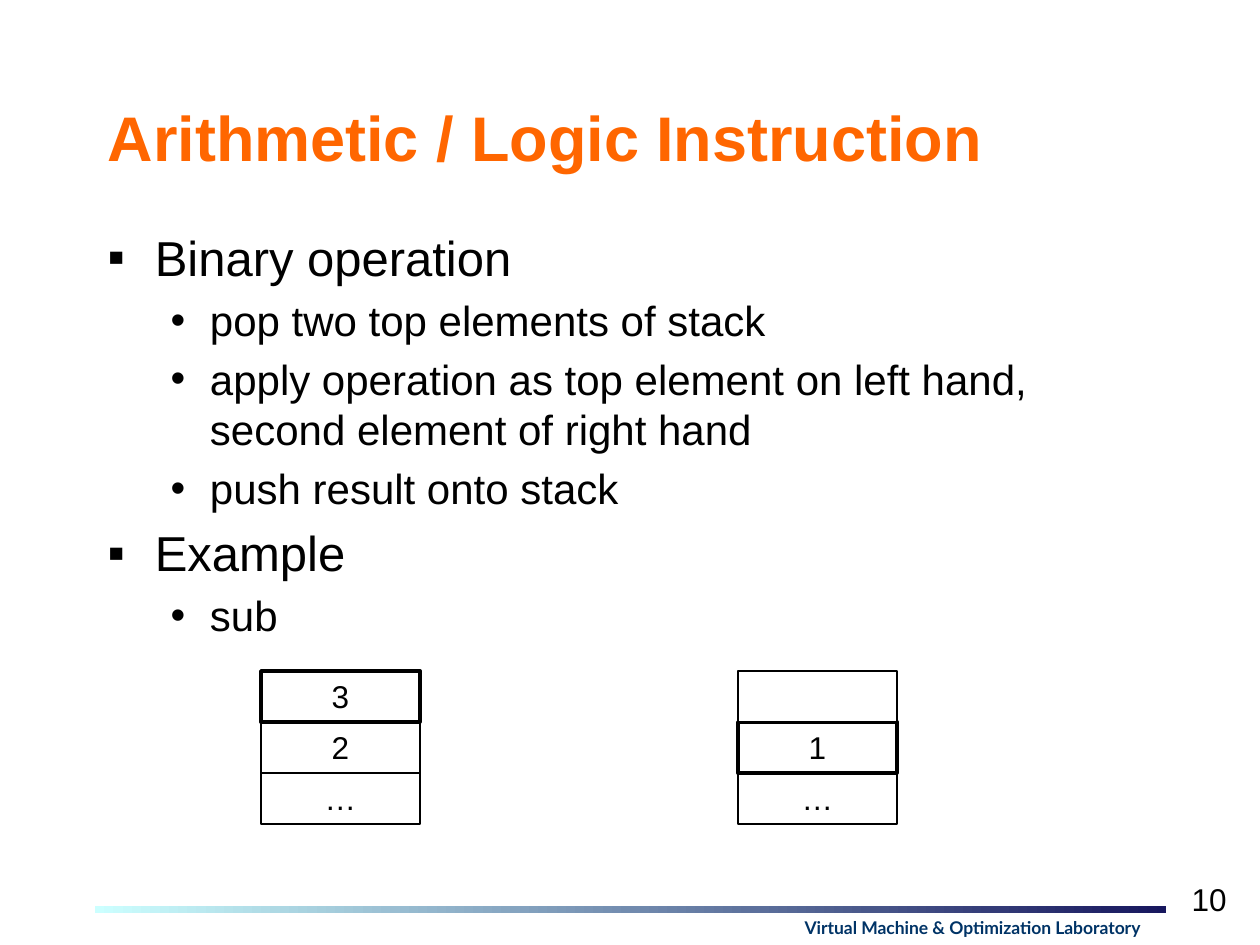
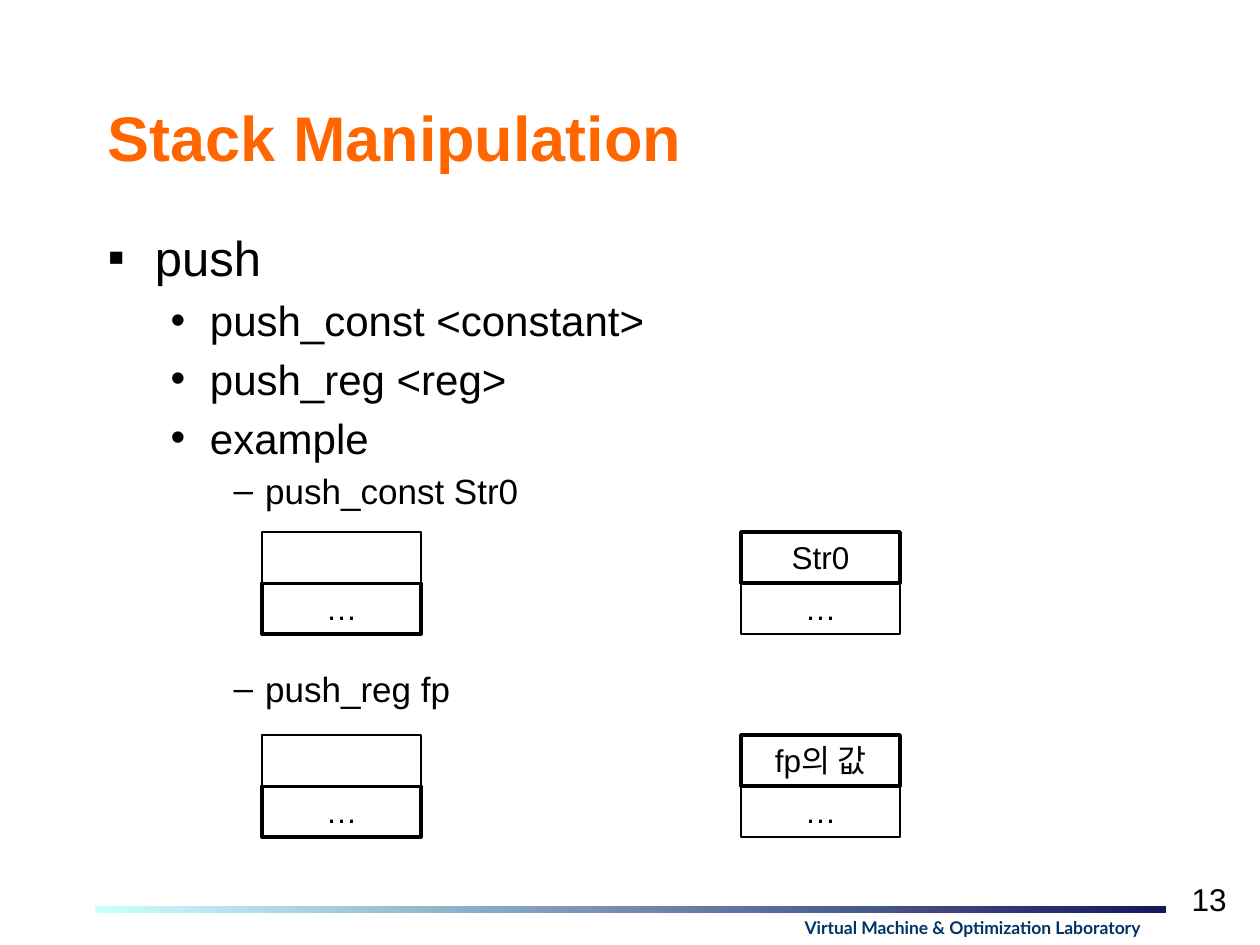
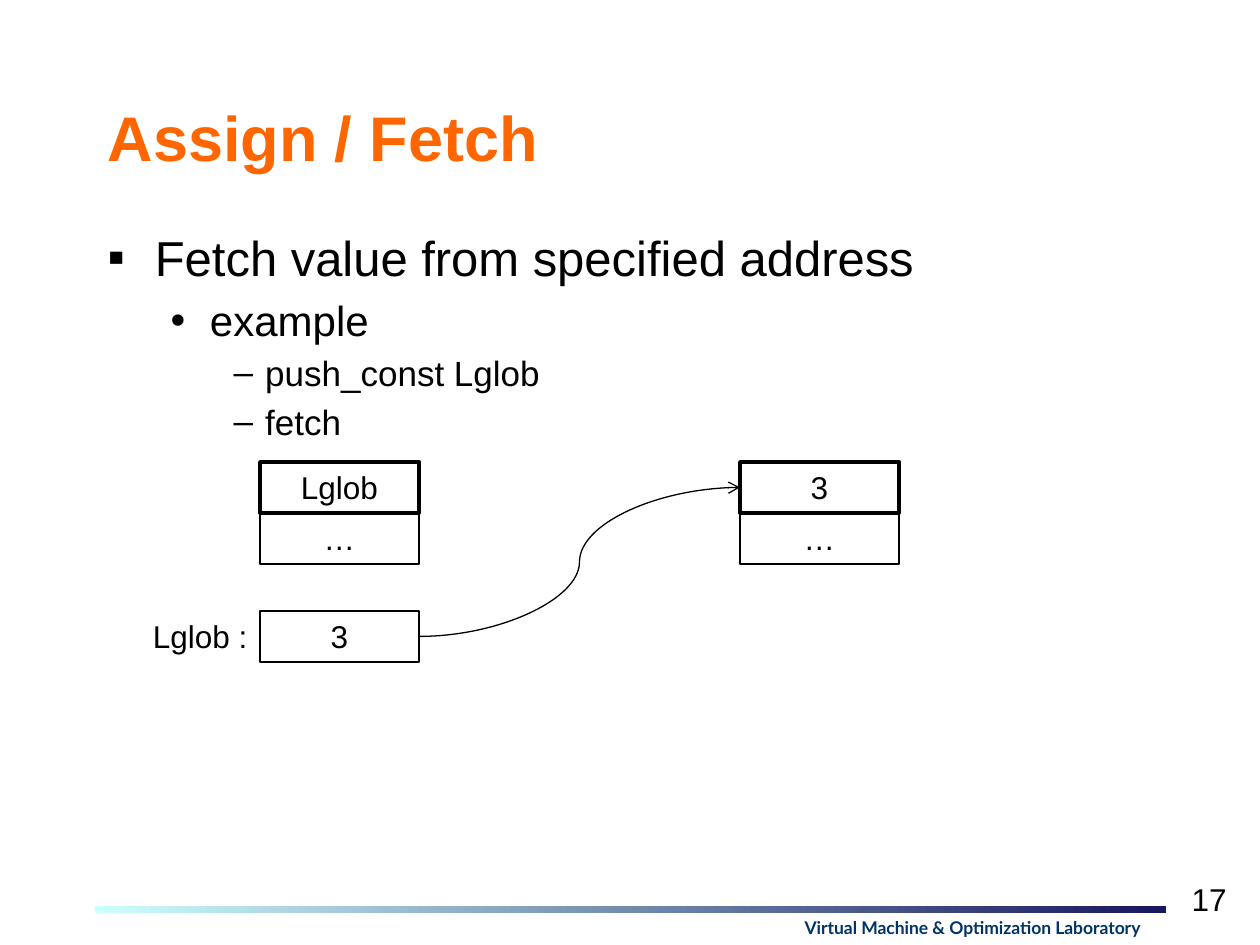
import pptx
import pptx.dml.color
import pptx.enum.shapes
import pptx.enum.text
import pptx.oxml
import pptx.oxml.ns
import pptx.util

RGBColor = pptx.dml.color.RGBColor
ALIGN = pptx.enum.text.PP_ALIGN
ANCHOR = pptx.enum.text.MSO_ANCHOR
SHAPE = pptx.enum.shapes.MSO_SHAPE
Pt = pptx.util.Pt

BLACK = RGBColor(0x00, 0x00, 0x00)
WHITE = RGBColor(0xFF, 0xFF, 0xFF)
ORANGE = RGBColor(0xFF, 0x66, 0x00)
NAVY = RGBColor(0x00, 0x33, 0x66)
BAND_START = RGBColor(0xCC, 0xFF, 0xFF)
BAND_END = RGBColor(0x17, 0x17, 0x5E)

TITLE_FONT = dict(name="Arial", size=Pt(36), bold=True, color=ORANGE)
CELL_FONT = dict(name="Arial", size=Pt(18), color=BLACK)
FOOTER_FONT = dict(name="Lato", size=Pt(10), bold=True, color=NAVY)
LEVELS = [("▪", 28), ("•", 24), ("–", 20)]

TITLE_BOX = (95, 84, 1071, 105)
BODY_BOX = (95, 221, 1071, 672)
CELL_W, CELL_H = 159, 51
THIN, THICK = 1.5, 2


def px(n):
    """Turn pixels, 126 to the inch, into EMU."""
    return pptx.util.Emu(round(n * 914400 / 126))


def place(sp, box):
    """Move and size a shape to a pixel box."""
    for name, n in zip(("left", "top", "width", "height"), box):
        setattr(sp, name, px(n))


def write(p, text, fmt, align=ALIGN.LEFT):
    """Write one formatted run into a paragraph."""
    p.alignment = align
    r = p.add_run()
    r.text = text
    for name, value in fmt.items():
        if name == "color":
            r.font.color.rgb = value
        else:
            setattr(r.font, name, value)


def add_rect(slide, box):
    """Add a plain rectangle without line or shadow."""
    sp = slide.shapes.add_shape(SHAPE.RECTANGLE, *map(px, box))
    sp.shadow.inherit = False
    sp.line.fill.background()
    return sp


def add_text(slide, box, text, fmt, align, anchor=ANCHOR.TOP, wrap=True):
    """Add a text box with one paragraph."""
    tf = slide.shapes.add_textbox(*map(px, box)).text_frame
    tf.word_wrap = wrap
    tf.vertical_anchor = anchor
    write(tf.paragraphs[0], text, fmt, align)


def add_footer(slide, number):
    """Add the page number, gradient band and laboratory name."""
    add_text(slide, (1176, 873, 63, 51), str(number), CELL_FONT,
             ALIGN.RIGHT, ANCHOR.MIDDLE, wrap=False)
    band = add_rect(slide, (95, 906, 1071, 7))
    band.fill.gradient()
    band.fill.gradient_angle = 0
    for stop, color in zip(band.fill.gradient_stops, (BAND_START, BAND_END)):
        stop.color.rgb = color
    add_text(slide, (714, 911, 517, 34), "Virtual Machine & Optimization Laboratory",
             FOOTER_FONT, ALIGN.CENTER)


def fill_title(slide, text):
    """Place and fill the title placeholder."""
    sp = slide.shapes.title
    place(sp, TITLE_BOX)
    tf = sp.text_frame
    tf.auto_size = pptx.enum.text.MSO_AUTO_SIZE.NONE
    tf.vertical_anchor = ANCHOR.MIDDLE
    write(tf.paragraphs[0], text, TITLE_FONT)


def fill_body(slide, items):
    """Fill the body with (level, text[, points before]) items."""
    sp = slide.placeholders[1]
    place(sp, BODY_BOX)
    tf = sp.text_frame
    tf.auto_size = pptx.enum.text.MSO_AUTO_SIZE.NONE
    for i, (level, text, *before) in enumerate(items):
        p = tf.add_paragraph() if i else tf.paragraphs[0]
        p.level = level
        bullet, size = LEVELS[level]
        write(p, text, dict(name="Arial", size=Pt(size), color=BLACK))
        if before:
            p.space_before = Pt(before[0])
        pPr = p._p.get_or_add_pPr()
        bu = pptx.oxml.parse_xml(
            f'<a:buChar {pptx.oxml.ns.nsdecls("a")} char="{bullet}"/>')
        pPr.append(bu)


def add_cell(slide, box, text, line=None, align=ALIGN.CENTER):
    """Add one white memory cell, outlined when a line width is given."""
    sp = add_rect(slide, box)
    sp.fill.solid()
    sp.fill.fore_color.rgb = WHITE
    if line:
        sp.line.color.rgb = BLACK
        sp.line.width = Pt(line)
    if text:
        sp.text_frame.word_wrap = True
        sp.text_frame.vertical_anchor = ANCHOR.TOP
        write(sp.text_frame.paragraphs[0], text, CELL_FONT, align)
    return sp


def add_stack(slide, x, y, values, thick=0):
    """Stack cells from the bottom up and return the top one."""
    for i in reversed(range(len(values))):
        cell = add_cell(slide, (x, y + i * CELL_H, CELL_W, CELL_H), values[i],
                        THICK if i == thick else THIN)
    return cell


def add_arrow(slide, source, target):
    """Join the right of one cell to the left of another by a curved arrow."""
    cx = slide.shapes.add_connector(
        pptx.enum.shapes.MSO_CONNECTOR.CURVE, 0, 0, 0, 0)
    cx.begin_connect(source, 3)
    cx.end_connect(target, 1)
    cx.line.color.rgb = BLACK
    cx.line.width = Pt(0.75)
    ns = pptx.oxml.ns.nsdecls("a")
    cx.line._get_or_add_ln().append(
        pptx.oxml.parse_xml(f'<a:tailEnd {ns} type="arrow"/>'))
    cx._element.spPr.append(pptx.oxml.parse_xml(f"<a:effectLst {ns}/>"))


def new_slide(prs, number, title, items):
    """Add a slide with footer, title and list."""
    slide = prs.slides.add_slide(prs.slide_layouts[1])
    add_footer(slide, number)
    fill_title(slide, title)
    fill_body(slide, items)
    return slide


def arithmetic_slide(prs):
    """Build the slide on binary operations."""
    slide = new_slide(prs, 10, "Arithmetic / Logic Instruction", [
        (0, "Binary operation"),
        (1, "pop two top elements of stack"),
        (1, "apply operation as top element on left hand, "
            "second element of right hand"),
        (1, "push result onto stack"),
        (0, "Example"),
        (1, "sub"),
    ])
    add_stack(slide, 261, 671, ["3", "2", "…"])
    add_stack(slide, 738, 671, ["", "1", "…"], thick=1)


def push_slide(prs):
    """Build the slide on pushing, with a stack before and after each push."""
    slide = new_slide(prs, 13, "Stack Manipulation", [
        (0, "push"),
        (1, "push_const <constant>"),
        (1, "push_reg <reg>"),
        (1, "example"),
        (2, "push_const Str0"),
        (2, "push_reg fp", 89),
    ])
    for y, pushed in ((532, "Str0"), (735, "fp의 값")):
        add_stack(slide, 262, y, ["", "…"], thick=1)
        add_stack(slide, 741, y, [pushed, "…"])


def fetch_slide(prs):
    """Build the slide on fetching a value from an address."""
    slide = new_slide(prs, 17, "Assign / Fetch", [
        (0, "Fetch value from specified address"),
        (1, "example"),
        (2, "push_const Lglob"),
        (2, "fetch"),
    ])
    x, y = 260, 611
    label_w = 178
    add_stack(slide, x, 462, ["Lglob", "…"])
    fetched = add_stack(slide, 740, 462, ["3", "…"])
    add_cell(slide, (x - label_w, y, label_w, CELL_H), "Lglob :",
             align=ALIGN.RIGHT)
    stored = add_cell(slide, (x, y, CELL_W, CELL_H), "3", THIN)
    add_arrow(slide, stored, fetched)


prs = pptx.Presentation()
prs.slide_width, prs.slide_height = px(1260), px(945)
for build in (arithmetic_slide, push_slide, fetch_slide):
    build(prs)
prs.save("out.pptx")
